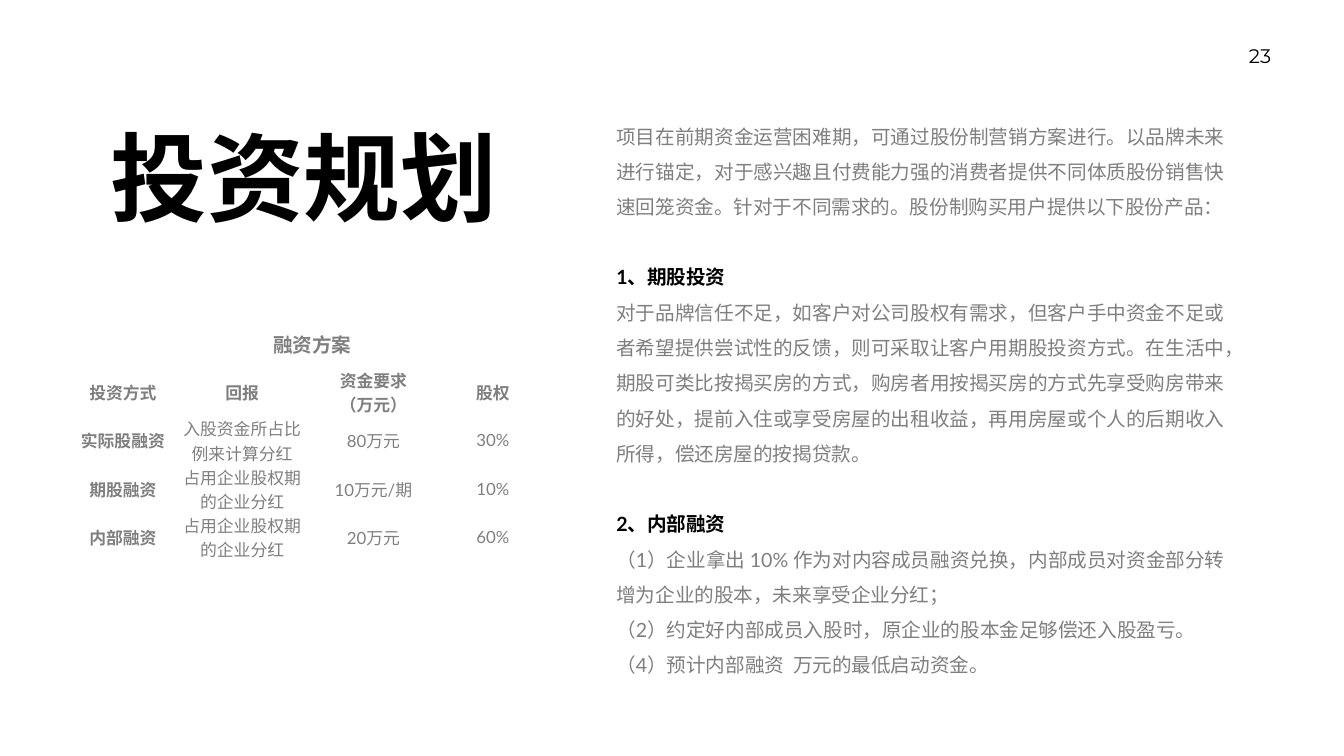
from pptx import Presentation
from pptx.dml.color import RGBColor
from pptx.enum.text import MSO_ANCHOR, PP_ALIGN
from pptx.util import Pt

PX = 9525
BLACK = RGBColor(0, 0, 0)
GREY = RGBColor(0x7F, 0x7F, 0x7F)


def write(para, text, color, font, form):
    """Add one run to para; form maps font attributes to values."""
    run = para.add_run()
    run.text = text
    run.font.color.rgb = color
    run.font.name = font
    for key, val in form.items():
        setattr(run.font, key, val)


def add_box(left, top, width, height):
    """Add a wrapping text box and return its text frame."""
    box = slide.shapes.add_textbox(left * PX, top * PX, width * PX, height * PX)
    box.text_frame.word_wrap = True
    return box.text_frame


deck = Presentation()
deck.slide_width = 2559 * PX
deck.slide_height = 1440 * PX
slide = deck.slides.add_slide(deck.slide_layouts[6])

# Page number
frame = add_box(2359, 73, 108, 64)
pads = {"margin_left": 19, "margin_right": 19, "margin_top": 10, "margin_bottom": 10}
for key, val in pads.items():
    setattr(frame, key, val * PX)
write(frame.paragraphs[0], "23", BLACK, "Montserrat", {"size": Pt(28)})

# Body: each section is a heading and its paragraphs
SECTIONS = [
    ("", ["项目在前期资金运营困难期，可通过股份制营销方案进行。以品牌未来进行锚定，"
          "对于感兴趣且付费能力强的消费者提供不同体质股份销售快速回笼资金。"
          "针对于不同需求的。股份制购买用户提供以下股份产品："]),
    ("1、期股投资", [
        "对于品牌信任不足，如客户对公司股权有需求，但客户手中资金不足或者希望提供尝试性的反馈，"
        "则可采取让客户用期股投资方式。在生活中，期股可类比按揭买房的方式，"
        "购房者用按揭买房的方式先享受购房带来的好处，提前入住或享受房屋的出租收益，"
        "再用房屋或个人的后期收入所得，偿还房屋的按揭贷款。"]),
    ("2、内部融资", [
        "（1）企业拿出 10% 作为对内容成员融资兑换，内部成员对资金部分转增为企业的股本，未来享受企业分红；",
        "（2）约定好内部成员入股时，原企业的股本金足够偿还入股盈亏。",
        "（4）预计内部融资  万元的最低启动资金。"]),
]
frame = add_box(1164, 210, 1177, 1087)
para = frame.paragraphs[0]
for head, texts in SECTIONS:
    lines = [(head, True)] if head else []
    lines += [(text, False) for text in texts]
    for text, bold in lines:
        if para.runs:
            para = frame.add_paragraph()
        para.alignment = PP_ALIGN.JUSTIFY
        para.line_spacing = 1.5
        if bold:
            para.space_before = Pt(50)
        write(para, text, BLACK if bold else GREY, "Lato", {"size": Pt(28), "bold": bold})

# Funding table
ROWS = [
    ["融资方案", "", "", ""],
    ["投资方式", "回报", "资金要求\n（万元）", "股权"],
    ["实际股融资", "入股资金所占比例来计算分红", "80万元", "30%"],
    ["期股融资", "占用企业股权期的企业分红", "10万元/期", "10%"],
    ["内部融资", "占用企业股权期的企业分红", "20万元", "60%"],
]
WIDTHS = [188, 266, 234, 221]
CELL = {"margin_left": 7 * PX, "margin_right": 7 * PX, "margin_top": 0,
        "margin_bottom": 0, "vertical_anchor": MSO_ANCHOR.MIDDLE}
table = slide.shapes.add_table(len(ROWS), len(WIDTHS), 140 * PX, 609 * PX,
                               sum(WIDTHS) * PX, 92 * len(ROWS) * PX).table
table.first_row = table.horz_banding = False
for col, width in zip(table.columns, WIDTHS):
    col.width = width * PX
table.cell(0, 0).merge(table.cell(0, 3))
for r, row in enumerate(ROWS):
    for c, text in enumerate(row):
        cell = table.cell(r, c)
        cell.fill.background()
        for key, val in CELL.items():
            setattr(cell, key, val)
        if not text:
            continue
        form = {"size": Pt(24 if r else 28), "bold": r < 2 or c == 0}
        frame = cell.text_frame
        for n, line in enumerate(text.split("\n")):
            para = frame.add_paragraph() if n else frame.paragraphs[0]
            para.alignment = PP_ALIGN.CENTER
            write(para, line, GREY, "Lato", form)

# Title
para = add_box(201, 259, 997, 195).paragraphs[0]
para.line_spacing = Pt(135.6)
write(para, "投资规划", BLACK, "Montserrat", {"size": Pt(138), "bold": True})

deck.save("out.pptx")
